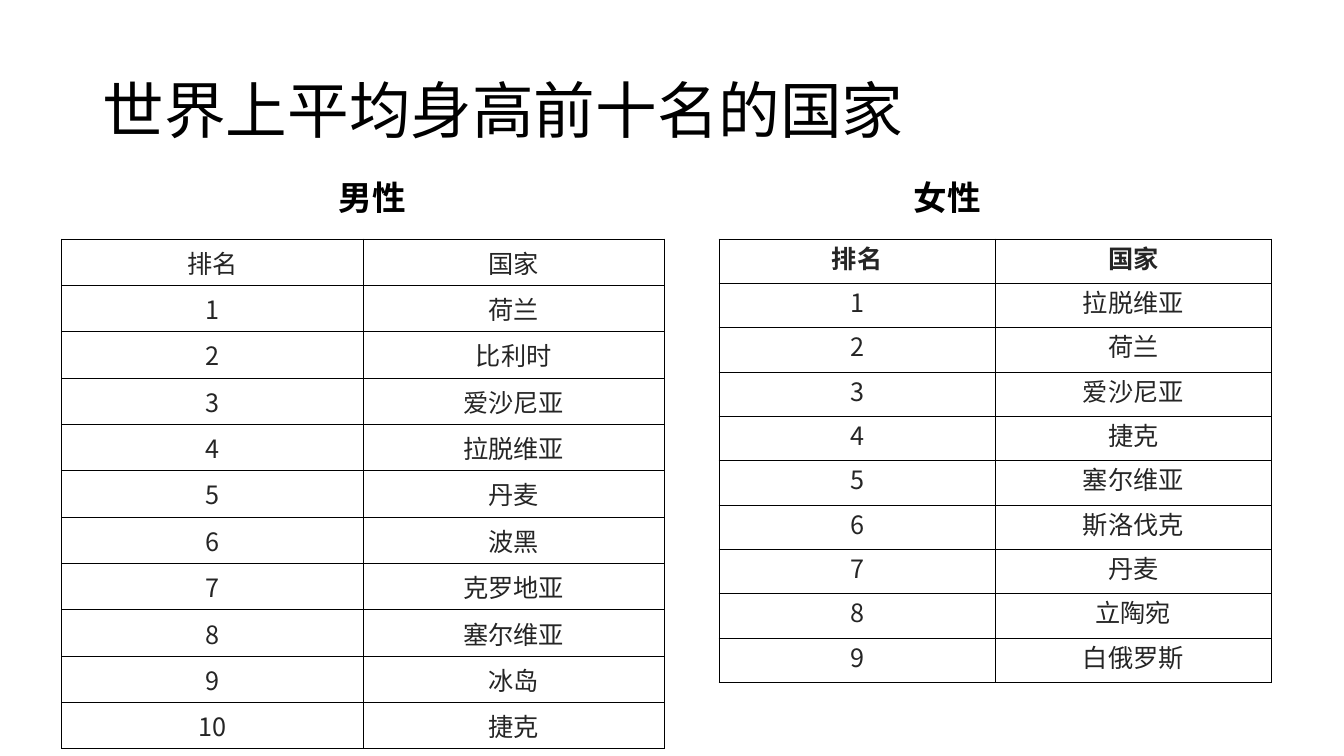
from dataclasses import dataclass

from lxml.etree import SubElement
from pptx import Presentation
from pptx.dml.color import RGBColor
from pptx.enum.text import MSO_ANCHOR, PP_ALIGN
from pptx.oxml.ns import qn
from pptx.slide import Slide
from pptx.table import _Cell
from pptx.text.text import _Paragraph
from pptx.util import Emu, Pt

PX = 9144  # 100 px to the inch


@dataclass(frozen=True)
class Theme:
    font: str = "Noto Sans CJK SC"
    ink: str = "000000"
    cell_ink: str = "252525"
    paper: str = "FFFFFF"
    title_pt: int = 44
    heading_pt: int = 24
    cell_pt: int = 18
    thin_pt: float = 0.5
    thick_pt: float = 1


@dataclass(frozen=True)
class Label:
    text: str
    box: tuple[int, int, int, int]
    size: int
    anchor: MSO_ANCHOR
    align: PP_ALIGN = PP_ALIGN.LEFT
    bold: bool = False


@dataclass(frozen=True)
class Ranking:
    countries: tuple[str, ...]
    left: int
    top: int
    col_width: int
    row_height: int
    bold_header: bool
    filled: bool
    thick_edge: bool
    inset: tuple[int, int]


THEME = Theme()
HEADER = ("排名", "国家")

LABELS = (
    Label("世界上平均身高前十名的国家", (92, 40, 1150, 145), THEME.title_pt, MSO_ANCHOR.MIDDLE),
    Label("男性", (87, 166, 564, 55), THEME.heading_pt, MSO_ANCHOR.BOTTOM, PP_ALIGN.CENTER, True),
    Label("女性", (656, 155, 567, 66), THEME.heading_pt, MSO_ANCHOR.BOTTOM, PP_ALIGN.CENTER, True),
)

MEN = Ranking(
    ("荷兰", "比利时", "爱沙尼亚", "拉脱维亚", "丹麦", "波黑", "克罗地亚", "塞尔维亚", "冰岛", "捷克"),
    left=61, top=237, col_width=299, row_height=46,
    bold_header=False, filled=True, thick_edge=True, inset=(10, 5),
)
WOMEN = Ranking(
    ("拉脱维亚", "荷兰", "爱沙尼亚", "捷克", "塞尔维亚", "斯洛伐克", "丹麦", "立陶宛", "白俄罗斯"),
    left=713, top=237, col_width=274, row_height=44,
    bold_header=True, filled=False, thick_edge=False, inset=(0, 0),
)


def px(n: int) -> Emu:
    return Emu(n * PX)


def style(p: _Paragraph, size: int, color: str, bold: bool, align: PP_ALIGN) -> None:
    p.alignment = align
    f = p.font
    f.size, f.bold, f.name = Pt(size), bold, THEME.font
    f.color.rgb = RGBColor.from_string(color)
    # East Asian glyphs take their own typeface entry
    SubElement(p._p.pPr.find(qn("a:defRPr")), qn("a:ea"), typeface=THEME.font)


def add_label(s: Slide, label: Label) -> None:
    tf = s.shapes.add_textbox(*map(px, label.box)).text_frame
    tf.word_wrap = True
    tf.vertical_anchor = label.anchor
    p = tf.paragraphs[0]
    p.text = label.text
    p.line_spacing = 0.9
    style(p, label.size, THEME.ink, label.bold, label.align)


def add_border(cell: _Cell, side: str, width: float) -> None:
    ln = SubElement(cell._tc.get_or_add_tcPr(), qn(f"a:ln{side}"), w=str(Pt(width)))
    SubElement(SubElement(ln, qn("a:solidFill")), qn("a:srgbClr"), val=THEME.ink)


def add_ranking(s: Slide, ranking: Ranking) -> None:
    rows = [HEADER, *((str(n), name) for n, name in enumerate(ranking.countries, 1))]
    table = s.shapes.add_table(
        len(rows), len(HEADER), px(ranking.left), px(ranking.top),
        px(ranking.col_width * len(HEADER)), px(ranking.row_height * len(rows)),
    ).table
    table.first_row = table.horz_banding = False

    for i, row in enumerate(rows):
        for j, text in enumerate(row):
            cell = table.cell(i, j)
            thick_sides = set()
            if ranking.thick_edge and j == len(HEADER) - 1:
                thick_sides.add("R")
            if ranking.thick_edge and i == len(rows) - 1:
                thick_sides.add("B")
            for side in "LRTB":
                add_border(cell, side, THEME.thick_pt if side in thick_sides else THEME.thin_pt)
            if ranking.filled:
                cell.fill.solid()
                cell.fill.fore_color.rgb = RGBColor.from_string(THEME.paper)
            else:
                cell.fill.background()
            cell.margin_left = cell.margin_right = px(ranking.inset[0])
            cell.margin_top = cell.margin_bottom = px(ranking.inset[1])
            p = cell.text_frame.paragraphs[0]
            p.text = text
            style(p, THEME.cell_pt, THEME.cell_ink, ranking.bold_header and i == 0, PP_ALIGN.CENTER)


def main() -> None:
    prs = Presentation()
    prs.slide_width, prs.slide_height = px(1333), px(750)
    s = prs.slides.add_slide(prs.slide_layouts[6])

    # Title and column headings
    for label in LABELS:
        add_label(s, label)

    # Ranking tables
    for ranking in (MEN, WOMEN):
        add_ranking(s, ranking)

    prs.save("out.pptx")


if __name__ == "__main__":
    main()
